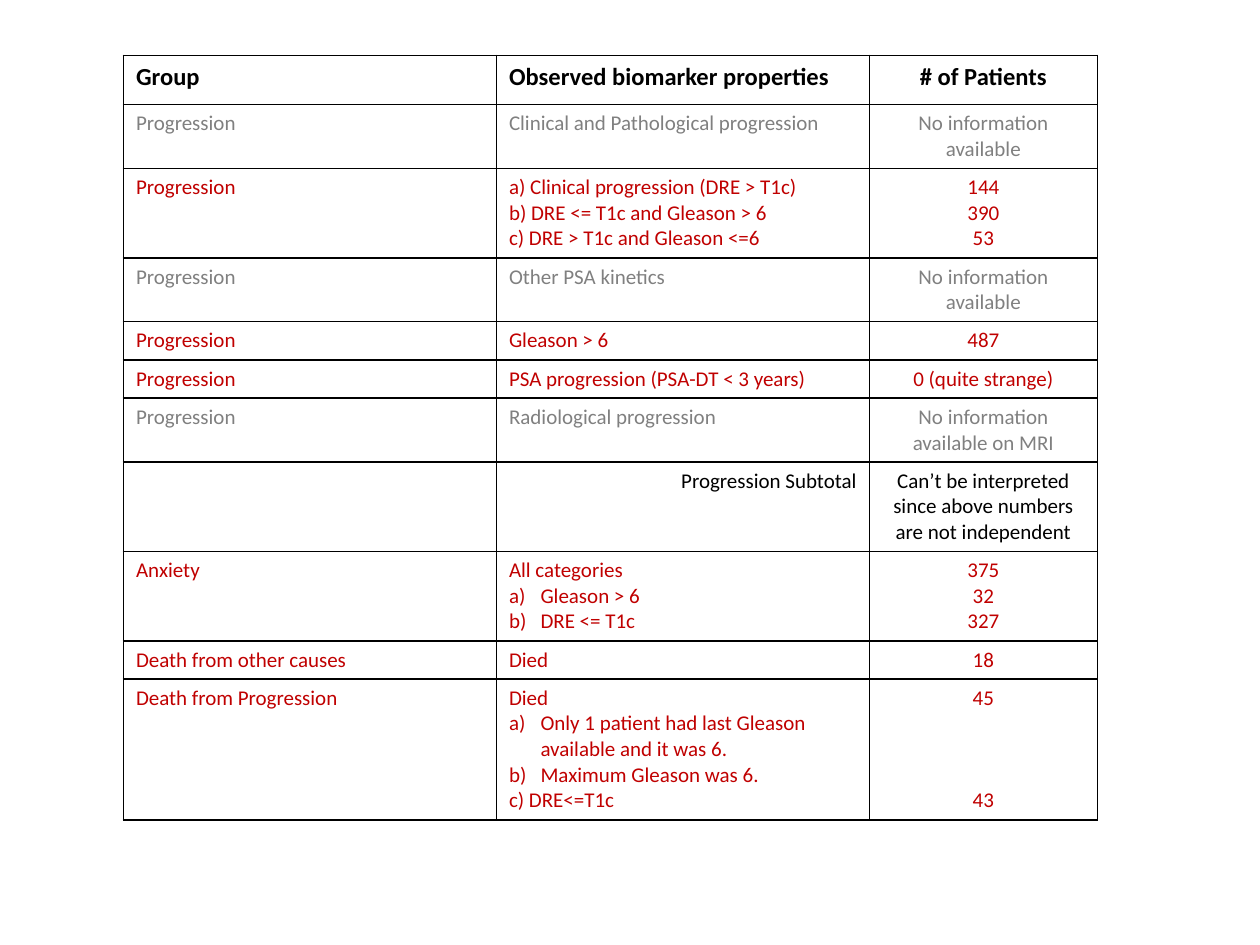
"""Build a slide with a table of patient counts by progression group."""
from lxml import etree
from pptx import Presentation
from pptx.dml.color import RGBColor
from pptx.enum.text import PP_ALIGN
from pptx.oxml.ns import qn
from pptx.util import Inches, Pt

LEFT, CENTER, RIGHT = PP_ALIGN.LEFT, PP_ALIGN.CENTER, PP_ALIGN.RIGHT
COLORS = {"black": "000000", "grey": "808080", "red": "C00000"}
FONT = "Calibri"
HEADER_SIZE, BODY_SIZE = 14, 12
TABLE_LEFT, TABLE_TOP = 0.98, 0.44
COLUMN_WIDTHS = [2.96, 2.96, 1.81]
HEADER_HEIGHT, BODY_HEIGHT, SUBTOTAL_HEIGHT = 0.39, 0.3, 0.32
COLUMN_ALIGNMENTS = [LEFT, LEFT, CENTER]
SUBTOTAL = "Progression Subtotal"
NUMBERED = {"numbered": True}
BESIDE_LAST_LINE = {"space_before": 44}

HEADER = ["Group", "Observed biomarker properties", "# of Patients"]
ROWS = [
    ("grey", "Progression", ["Clinical and Pathological progression"],
     ["No information available"]),
    ("red", "Progression",
     ["a) Clinical progression (DRE > T1c)", "b) DRE <= T1c and Gleason > 6",
      "c) DRE > T1c and Gleason <=6"],
     ["144", "390", "53"]),
    ("grey", "Progression", ["Other PSA kinetics"], ["No information available"]),
    ("red", "Progression", ["Gleason > 6"], ["487"]),
    ("red", "Progression", ["PSA progression (PSA-DT < 3 years)"], ["0 (quite strange)"]),
    ("grey", "Progression", ["Radiological progression"],
     ["No information available on MRI"]),
    ("black", "", [SUBTOTAL],
     ["Can’t be interpreted since above numbers are not independent"]),
    ("red", "Anxiety",
     ["All categories", ("Gleason > 6", NUMBERED), ("DRE <= T1c", NUMBERED)],
     ["375", "32", "327"]),
    ("red", "Death from other causes", ["Died"], ["18"]),
    ("red", "Death from Progression",
     ["Died",
      ("Only 1 patient had last Gleason available and it was 6.", NUMBERED),
      ("Maximum Gleason was 6.", NUMBERED),
      "c) DRE<=T1c"],
     ["45", ("43", BESIDE_LAST_LINE)]),
]


def add_number(para):
    properties = para._p.get_or_add_pPr()
    properties.set("marL", str(Inches(0.25)))
    properties.set("indent", str(-Inches(0.25)))
    etree.SubElement(properties, qn("a:buAutoNum"), type="alphaLcParenR")


def write_cell(cell, lines, color, size, bold, alignment):
    frame = cell.text_frame
    font_values = {"name": FONT, "size": Pt(size), "bold": bold}
    for index, line in enumerate(lines):
        text, extra = line if isinstance(line, tuple) else (line, {})
        para = frame.add_paragraph() if index else frame.paragraphs[0]
        para.alignment = RIGHT if text == SUBTOTAL else alignment
        if "space_before" in extra:
            para.space_before = Pt(extra["space_before"])
        if "numbered" in extra:
            add_number(para)
        if not text:
            continue
        span = para.add_run()
        span.text = text
        for name, value in font_values.items():
            setattr(span.font, name, value)
        span.font.color.rgb = RGBColor.from_string(COLORS[color])


def style_cell(cell):
    properties = cell._tc.get_or_add_tcPr()
    for side in ("lnL", "lnR", "lnT", "lnB"):
        line = etree.SubElement(properties, qn(f"a:{side}"), w=str(Pt(1)))
        fill = etree.SubElement(line, qn("a:solidFill"))
        etree.SubElement(fill, qn("a:srgbClr"), val=COLORS["black"])
    cell.fill.background()


def main():
    deck = Presentation()
    deck.slide_width, deck.slide_height = Inches(10), Inches(7.5)
    page = deck.slides.add_slide(deck.slide_layouts[6])

    records = [("black", [[text] for text in HEADER])]
    records += [(color, [[group], *cells]) for color, group, *cells in ROWS]
    heights = [HEADER_HEIGHT]
    heights += [SUBTOTAL_HEIGHT if row[2] == [SUBTOTAL] else BODY_HEIGHT for row in ROWS]

    table = page.shapes.add_table(
        len(records), len(COLUMN_WIDTHS), Inches(TABLE_LEFT), Inches(TABLE_TOP),
        Inches(sum(COLUMN_WIDTHS)), Inches(sum(heights))).table
    table.first_row = table.horz_banding = False
    for column, width in zip(table.columns, COLUMN_WIDTHS):
        column.width = Inches(width)
    for index, (row, height, (color, cells)) in enumerate(zip(table.rows, heights, records)):
        row.height = Inches(height)
        size = BODY_SIZE if index else HEADER_SIZE
        for cell, lines, alignment in zip(row.cells, cells, COLUMN_ALIGNMENTS):
            write_cell(cell, lines, color, size, index == 0, alignment)
            style_cell(cell)

    deck.save("out.pptx")


if __name__ == "__main__":
    main()
